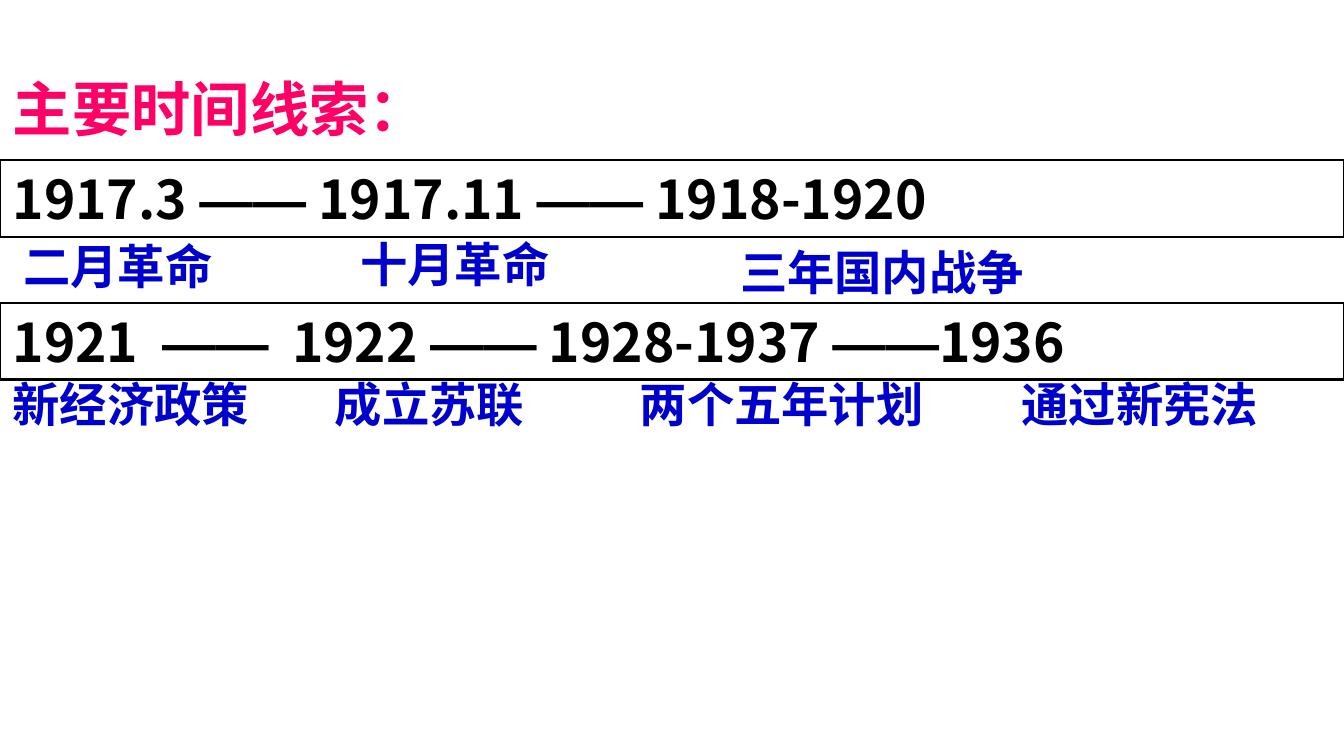
from lxml import etree
from pptx import Presentation
from pptx.dml.color import RGBColor
from pptx.enum import shapes, text
from pptx.oxml.ns import qn
from pptx.util import Inches, Pt

# Content
TITLE = "主要时间线索："
DASH = "——"
PERIODS = [
    {
        "top": 0.75,
        "dates": ["1917.3 ", DASH, " 1917.11 ", DASH, " 1918-1920"],
        "tabs": [],
        "events": [("二月革命", 0.05, 1.08, 1.89), ("十月革命", 1.63, 1.07, 1.42),
                   ("三年国内战争", 3.41, 1.11, 2.62)],
    },
    {
        "top": 1.42,
        "dates": ["1921\t", DASH, "\t1922 ", DASH, " 1928-1937 ", DASH, "1936"],
        "tabs": [0.7, 1.31],
        "events": [("新经济政策", 0, 1.73, 1.99), ("成立苏联", 1.51, 1.73, 1.37),
                   ("两个五年计划", 2.94, 1.73, 2.2), ("通过新宪法", 4.73, 1.73, 2.1)],
    },
]

# Style: a 16:9 slide
WIDTH = 6.3
HEIGHT = WIDTH * 9 / 16
BAR_HEIGHT, EVENT_HEIGHT = 0.36, 0.32
LATIN, CJK = "Arial", "Noto Sans CJK SC"
COLORS = {"title": "FF0066", "date": "000000", "event": "0000CC"}
SIZES = {"title": 20, "date": 18, "event": 16}
FRAME = {
    "margin_left": Inches(0.06), "margin_right": Inches(0.06),
    "margin_top": Inches(0.03), "margin_bottom": Inches(0.03),
    "word_wrap": True, "vertical_anchor": text.MSO_ANCHOR.TOP,
    "auto_size": text.MSO_AUTO_SIZE.NONE,
}


def color(role):
    return RGBColor.from_string(COLORS[role])


def write(shape, pieces, role, tabs=()):
    """Fill a shape with one left-aligned line made of the given runs."""
    frame = shape.text_frame
    for name, value in FRAME.items():
        setattr(frame, name, value)
    paragraph = frame.paragraphs[0]
    paragraph.alignment = text.PP_ALIGN.LEFT
    if tabs:
        properties = paragraph._p.get_or_add_pPr()
        tab_list = etree.SubElement(properties, qn("a:tabLst"))
        for position in tabs:
            etree.SubElement(tab_list, qn("a:tab"), pos=str(Inches(position)), algn="l")
    for piece in pieces:
        run = paragraph.add_run()
        run.text = piece
        font = run.font
        is_date = role == "date" and piece != DASH
        values = {"name": CJK if is_date else LATIN, "size": Pt(SIZES[role]), "bold": True}
        for name, value in values.items():
            setattr(font, name, value)
        font.color.rgb = color(role)
        etree.SubElement(run._r.get_or_add_rPr(), qn("a:ea"), typeface=CJK)


presentation = Presentation()
presentation.slide_width, presentation.slide_height = Inches(WIDTH), Inches(HEIGHT)
slide = presentation.slides.add_slide(presentation.slide_layouts[5])

# Title
title = slide.shapes.title
place = {"left": 0, "top": 0.31, "width": 5.06, "height": 0.39}
for side, length in place.items():
    setattr(title, side, Inches(length))
write(title, [TITLE], "title")

# Date bars
for period in PERIODS:
    bar = slide.shapes.add_shape(
        shapes.MSO_SHAPE.RECTANGLE, 0, Inches(period["top"]), Inches(WIDTH), Inches(BAR_HEIGHT))
    bar.shadow.inherit = False
    bar.fill.background()
    bar.line.color.rgb = color("date")
    bar.line.width = Pt(0.75)
    write(bar, period["dates"], "date", period["tabs"])

# Events below each bar
for period in PERIODS:
    for event, left, top, width in period["events"]:
        label = slide.shapes.add_textbox(
            Inches(left), Inches(top), Inches(width), Inches(EVENT_HEIGHT))
        write(label, [event], "event")

presentation.save("out.pptx")
